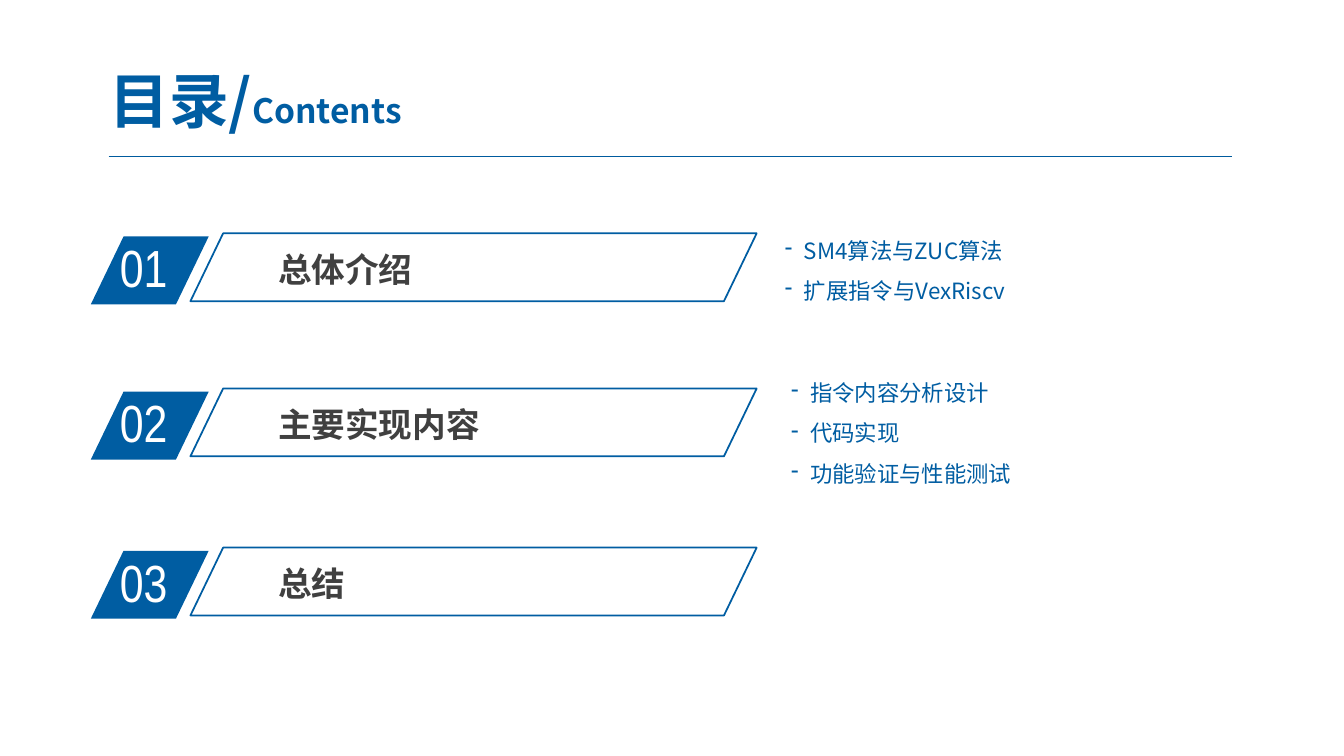
"""Build the contents slide: a title, three numbered sections and their topics."""
from dataclasses import dataclass

from lxml.etree import SubElement
from pptx import Presentation
from pptx.dml.color import RGBColor
from pptx.enum.shapes import MSO_CONNECTOR, MSO_SHAPE
from pptx.enum.text import MSO_ANCHOR, PP_ALIGN
from pptx.oxml.ns import qn
from pptx.util import Cm, Pt


@dataclass(frozen=True)
class Theme:
    """Colours, fonts and type sizes of the slide."""
    blue: RGBColor = RGBColor(0x00, 0x5D, 0xA2)
    rule: RGBColor = RGBColor(0x00, 0x5B, 0x9E)
    grey: RGBColor = RGBColor(0x40, 0x40, 0x40)
    white: RGBColor = RGBColor(0xFF, 0xFF, 0xFF)
    text_font: str = "Noto Sans CJK SC"
    number_font: str = "Arial Narrow"
    title_size: float = 42.7
    number_size: float = 37.3
    heading_size: float = 24
    topic_size: float = 16


THEME = Theme()
SLANT = 0.482
BAR_HEIGHT = 1.71
SECTIONS = [
    (5.88, "总体介绍", (19.53, 5.51), ["SM4算法与ZUC算法", "扩展指令与VexRiscv"]),
    (9.79, "主要实现内容", (19.69, 9.09), ["指令内容分析设计", "代码实现", "功能验证与性能测试"]),
    (13.8, "总结", None, []),
]


def style_paragraph(paragraph, size, colour, name=THEME.text_font, bold=False):
    """Set the font of a paragraph, for Latin and East Asian text."""
    font = paragraph.font
    font.size, font.bold, font.name = Pt(size), bold, name
    font.color.rgb = colour
    properties = paragraph._p.get_or_add_pPr().find(qn("a:defRPr"))
    SubElement(properties, qn("a:ea")).set("typeface", name)


def add_text_frame(slide, left, top, width, height):
    """Add a wrapping text box and return its text frame."""
    frame = slide.shapes.add_textbox(Cm(left), Cm(top), Cm(width), Cm(height)).text_frame
    frame.word_wrap = True
    return frame


def add_label(slide, left, top, width, height, text, *style):
    """Add a text box with one styled line."""
    paragraph = add_text_frame(slide, left, top, width, height).paragraphs[0]
    paragraph.text = text
    style_paragraph(paragraph, *style)


def add_bar(slide, left, top, width, filled):
    """Add a slanted bar, either solid or outlined."""
    shape = slide.shapes.add_shape(
        MSO_SHAPE.PARALLELOGRAM, Cm(left), Cm(top), Cm(width), Cm(BAR_HEIGHT))
    shape.adjustments[0] = SLANT
    shape.shadow.inherit = False
    if filled:
        shape.fill.solid()
        shape.fill.fore_color.rgb = THEME.blue
        shape.line.fill.background()
    else:
        shape.fill.background()
        shape.line.color.rgb = THEME.blue
        shape.line.width = Pt(1.25)


def add_title(slide):
    """Add the two-size title."""
    frame = add_text_frame(slide, 2.26, 1.6, 8.36, 1.83)
    frame.vertical_anchor = MSO_ANCHOR.MIDDLE
    paragraph = frame.paragraphs[0]
    paragraph.alignment = PP_ALIGN.CENTER
    style_paragraph(paragraph, THEME.title_size, THEME.blue, THEME.text_font, True)
    paragraph.add_run().text = "目录/"
    subtitle = paragraph.add_run()
    subtitle.text = "Contents"
    subtitle.font.size = Pt(THEME.heading_size)


def add_rule(slide):
    """Add the thin line under the title."""
    line = slide.shapes.add_connector(
        MSO_CONNECTOR.STRAIGHT, Cm(2.74), Cm(3.94), Cm(31.06), Cm(3.94))
    line.line.color.rgb = THEME.rule
    line.line.width = Pt(0.75)
    SubElement(line._element.spPr, qn("a:effectLst"))


def add_section(slide, top, number, heading):
    """Add a numbered badge beside an outlined heading bar."""
    add_bar(slide, 2.29, top + 0.08, 2.97, True)
    add_label(slide, 2.77, top - 0.07, 2.84, 1.85, f"{number:02}",
              THEME.number_size, THEME.white, THEME.number_font)
    add_label(slide, 6.76, top + 0.27, 10.46, 1.27, heading,
              THEME.heading_size, THEME.grey, THEME.text_font, True)
    add_bar(slide, 4.8, top, 14.27, False)


def add_topics(slide, left, top, topics):
    """Add a dashed list of topics."""
    frame = add_text_frame(slide, left, top, 11.89, 0.13 + 1.03 * len(topics))
    for index, topic in enumerate(topics):
        paragraph = frame.add_paragraph() if index else frame.paragraphs[0]
        paragraph.text = topic
        paragraph.line_spacing = 1.5
        properties = paragraph._p.get_or_add_pPr()
        properties.set("marL", str(Cm(0.48)))
        properties.set("indent", str(-Cm(0.48)))
        SubElement(properties, qn("a:buChar")).set("char", "-")
        style_paragraph(paragraph, THEME.topic_size, THEME.blue)


def main():
    """Build and save the slide."""
    presentation = Presentation()
    presentation.slide_width, presentation.slide_height = Cm(33.87), Cm(19.05)
    slide = presentation.slides.add_slide(presentation.slide_layouts[6])
    add_title(slide)
    add_rule(slide)
    for number, (top, heading, topics_at, topics) in enumerate(SECTIONS, 1):
        add_section(slide, top, number, heading)
        if topics:
            add_topics(slide, *topics_at, topics)
    presentation.save("out.pptx")


if __name__ == "__main__":
    main()
